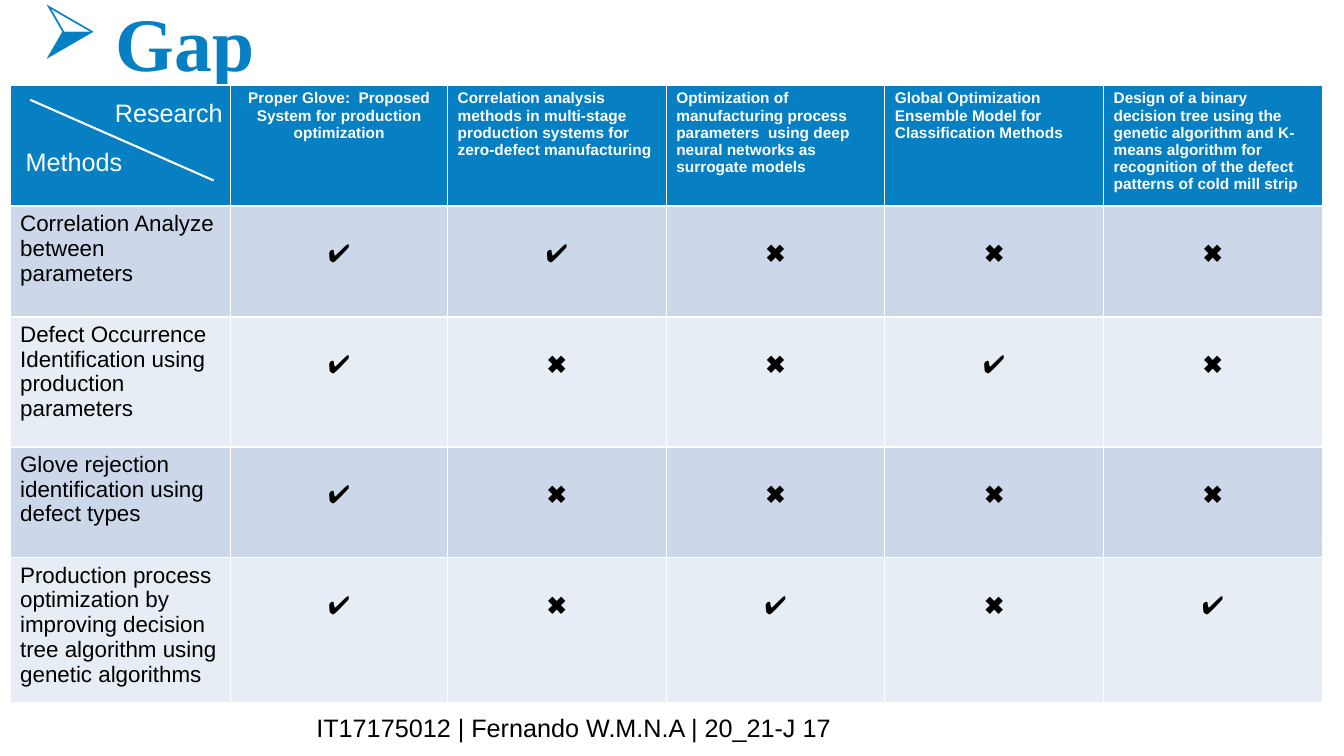
from dataclasses import dataclass

import pptx
import pptx.chart.data
import pptx.dml.color
import pptx.enum.shapes
import pptx.enum.text
import pptx.oxml
import pptx.oxml.ns
import pptx.util

Pt = pptx.util.Pt
ALIGN = pptx.enum.text.PP_ALIGN
ANCHOR = pptx.enum.text.MSO_ANCHOR

COLORS = {
    "blue": "0680C3",
    "white": "FFFFFF",
    "black": "000000",
    "dark_band": "CCD8E9",
    "light_band": "E7EDF5",
}
MARKS = {"y": "✔", "n": "✖"}
MARK_TOP = 24.3
COLUMN_WIDTHS = [157.7, 154.8] + [156.2] * 4


@dataclass
class Style:
    size: float
    color: str
    bold: bool = False
    font: str = "Arial"
    align: ALIGN = ALIGN.LEFT


@dataclass
class Label:
    text: str
    left: float
    top: float
    width: float
    height: float
    style: Style
    anchor: ANCHOR = ANCHOR.MIDDLE
    bullet: str = ""


@dataclass
class Method:
    """One table row: y or n for each research work, left to right."""
    name: str
    height: float
    marks: str


HEADING = Style(11, "white", bold=True)
CENTERED_HEADING = Style(11, "white", bold=True, align=ALIGN.CENTER)
METHOD_NAME = Style(16, "black")
MARK = Style(18, "black", align=ALIGN.CENTER)
CORNER = Style(18, "white", align=ALIGN.CENTER)

HEADER_HEIGHT = 86
RESEARCH = [
    "Proper Glove:  Proposed System for production optimization",
    "Correlation analysis methods in multi-stage production systems for zero-defect manufacturing",
    "Optimization of manufacturing process parameters  using deep neural networks as surrogate models",
    "Global Optimization Ensemble Model for Classification Methods",
    "Design of a binary decision tree using the genetic algorithm and K-means algorithm "
    "for recognition of the defect patterns of cold mill strip",
]
METHODS = [
    Method("Correlation Analyze between parameters", 79.2, "yynnn"),
    Method("Defect Occurrence Identification using production parameters", 92.9, "ynnyn"),
    Method("Glove rejection identification using defect types", 79.2, "ynnnn"),
    Method("Production process optimization by improving decision tree algorithm "
           "using genetic algorithms", 103, "ynyny"),
]
TITLE = Label("Gap", 21.6, 14, 244, 31, Style(54, "blue", True, "Times New Roman"), bullet="➢")
FOOTER = Label("IT17175012 | Fernando W.M.N.A | 20_21-J 17", 218.9, 505.4, 733.7, 28.8,
               Style(18, "black"), ANCHOR.TOP)
CORNER_LABELS = [
    Label("Research", 74.9, 56.9, 91.4, 47.5, CORNER),
    Label("Methods", 7.2, 91.4, 91.4, 47.5, CORNER),
]


def rgb(name: str) -> pptx.dml.color.RGBColor:
    return pptx.dml.color.RGBColor.from_string(COLORS[name])


def write(para, text: str, style: Style) -> None:
    para.alignment = style.align
    span = para.add_run()
    span.text = text
    span.font.name = style.font
    span.font.size = Pt(style.size)
    span.font.bold = style.bold
    span.font.color.rgb = rgb(style.color)


def add_bullet(para, symbol: str, indent: float) -> None:
    properties = para._p.get_or_add_pPr()
    properties.set("marL", str(Pt(indent)))
    properties.set("indent", str(-Pt(indent)))
    bullet = pptx.oxml.parse_xml(
        f'<a:buChar {pptx.oxml.ns.nsdecls("a")} char="{symbol}"/>')
    properties.append(bullet)


def add_label(page, label: Label) -> None:
    box = page.shapes.add_textbox(
        Pt(label.left), Pt(label.top), Pt(label.width), Pt(label.height))
    frame = box.text_frame
    frame.word_wrap = True
    frame.vertical_anchor = label.anchor
    para = frame.paragraphs[0]
    if label.bullet:
        add_bullet(para, label.bullet, 54)
    write(para, label.text, label.style)


def fill_cell(cell, color: str, text: str = "", style: Style = METHOD_NAME) -> None:
    cell.fill.solid()
    cell.fill.fore_color.rgb = rgb(color)
    if text:
        write(cell.text_frame.paragraphs[0], text, style)


def add_gap_table(page) -> None:
    heights = [HEADER_HEIGHT] + [method.height for method in METHODS]
    table = page.shapes.add_table(
        len(heights), len(COLUMN_WIDTHS), Pt(7.2), Pt(60.7),
        Pt(sum(COLUMN_WIDTHS)), Pt(sum(heights))).table
    for column, width in zip(table.columns, COLUMN_WIDTHS):
        column.width = Pt(width)
    for row, height in zip(table.rows, heights):
        row.height = Pt(height)

    fill_cell(table.cell(0, 0), "blue")
    for column, research in enumerate(RESEARCH, 1):
        style = CENTERED_HEADING if column == 1 else HEADING
        fill_cell(table.cell(0, column), "blue", research, style)

    for row, method in enumerate(METHODS, 1):
        band = "dark_band" if row % 2 else "light_band"
        fill_cell(table.cell(row, 0), band, method.name)
        for column, mark in enumerate(method.marks, 1):
            cell = table.cell(row, column)
            cell.margin_top = Pt(MARK_TOP)
            fill_cell(cell, band, MARKS[mark], MARK)


def add_corner_diagonal(page) -> None:
    line = page.shapes.add_connector(
        pptx.enum.shapes.MSO_CONNECTOR.STRAIGHT, Pt(21.6), Pt(71.3), Pt(152.6), Pt(128.9))
    line.line.color.rgb = rgb("white")
    line.line.width = Pt(1.5)
    line._element.spPr.append(
        pptx.oxml.parse_xml(f'<a:effectLst {pptx.oxml.ns.nsdecls("a")}/>'))


def main() -> None:
    deck = pptx.Presentation()
    deck.slide_width, deck.slide_height = Pt(960), Pt(540)
    page = deck.slides.add_slide(deck.slide_layouts[6])
    add_label(page, TITLE)
    add_label(page, FOOTER)
    add_gap_table(page)
    add_corner_diagonal(page)
    for label in CORNER_LABELS:
        add_label(page, label)
    deck.save("out.pptx")


if __name__ == "__main__":
    main()
